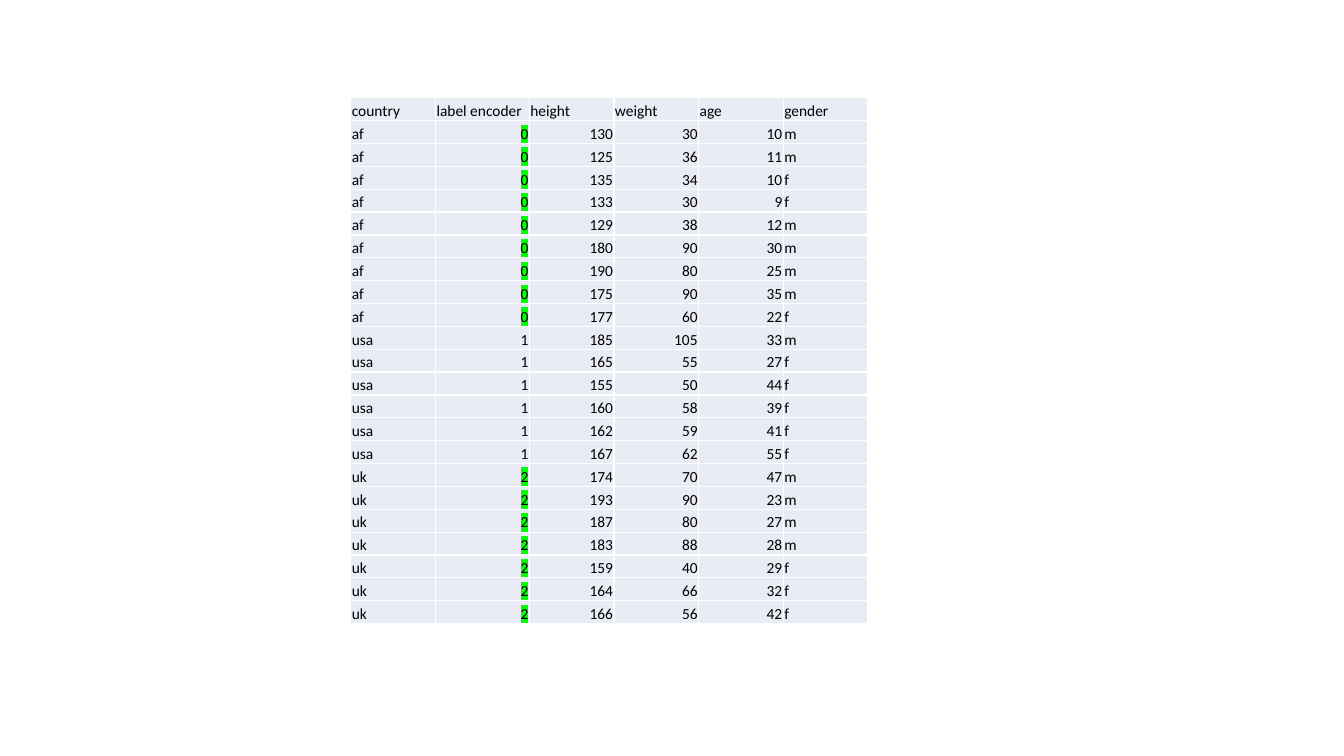
from dataclasses import dataclass

from lxml import etree
from pptx import Presentation
from pptx.dml.color import RGBColor
from pptx.enum.text import MSO_ANCHOR, PP_ALIGN
from pptx.oxml.ns import qn
from pptx.util import Inches, Pt

BOTTOM = MSO_ANCHOR.BOTTOM
LEFT, RIGHT = PP_ALIGN.LEFT, PP_ALIGN.RIGHT


@dataclass(frozen=True)
class Theme:
    font: str = "Calibri"
    size: int = 11
    ink: str = "000000"
    cell: str = "E9EBF5"
    border: str = "FFFFFF"
    marker: str = "00FF00"
    border_width: int = 1


theme = Theme()


def add_solid_color(parent, tag, color):
    element = etree.SubElement(parent, qn(tag))
    etree.SubElement(element, qn("a:srgbClr"), val=color)
    return element


def write_cell(cell, text, align=LEFT, highlight=None):
    cell.fill.solid()
    cell.fill.fore_color.rgb = RGBColor.from_string(theme.cell)
    cell.vertical_anchor = BOTTOM
    cell.margin_left = cell.margin_right = cell.margin_top = Inches(0.01)
    cell.margin_bottom = 0
    properties = cell.fill._xPr
    for position, edge in enumerate(("a:lnL", "a:lnR", "a:lnT", "a:lnB")):
        line = etree.Element(qn(edge), w=str(Pt(theme.border_width)))
        add_solid_color(line, "a:solidFill", theme.border)
        properties.insert(position, line)
    para = cell.text_frame.paragraphs[0]
    para.alignment = align
    span = para.add_run()
    span.text = text
    span.font.name = theme.font
    span.font.size = Pt(theme.size)
    span.font.color.rgb = RGBColor.from_string(theme.ink)
    if highlight:
        format_element = span.font._element
        marker = add_solid_color(format_element, "a:highlight", highlight)
        format_element.find(qn("a:solidFill")).addnext(marker)


headers = ["country", "label encoder", "height", "weight", "age", "gender"]
countries = [
    ("af", 0, theme.marker, [
        (130, 30, 10, "m"), (125, 36, 11, "m"), (135, 34, 10, "f"),
        (133, 30, 9, "f"), (129, 38, 12, "m"), (180, 90, 30, "m"),
        (190, 80, 25, "m"), (175, 90, 35, "m"), (177, 60, 22, "f"),
    ]),
    ("usa", 1, None, [
        (185, 105, 33, "m"), (165, 55, 27, "f"), (155, 50, 44, "f"),
        (160, 58, 39, "f"), (162, 59, 41, "f"), (167, 62, 55, "f"),
    ]),
    ("uk", 2, theme.marker, [
        (174, 70, 47, "m"), (193, 90, 23, "m"), (187, 80, 27, "m"),
        (183, 88, 28, "m"), (159, 40, 29, "f"), (164, 66, 32, "f"),
        (166, 56, 42, "f"),
    ]),
]
records = [
    ((country, label, *person), marker)
    for country, label, marker, people in countries
    for person in people
]

deck = Presentation()
deck.slide_width = Inches(13.33)
deck.slide_height = Inches(7.5)
page = deck.slides.add_slide(deck.slide_layouts[6])

row_count = len(records) + 1
label_width, column_width = Inches(0.93), Inches(0.84)
table_width = label_width + column_width * (len(headers) - 1)
table_height = Inches(5.22)
people_table = page.shapes.add_table(
    row_count, len(headers), Inches(3.48), Inches(0.97), table_width, table_height
).table
people_table.first_row = False
people_table.horz_banding = False

for column, header in zip(people_table.columns, headers):
    column.width = label_width if header == "label encoder" else column_width
for row in people_table.rows:
    row.height = table_height // row_count

for column_index, header in enumerate(headers):
    write_cell(people_table.cell(0, column_index), header)

for row_index, (values, marker) in enumerate(records, start=1):
    for column_index, (header, value) in enumerate(zip(headers, values)):
        write_cell(
            people_table.cell(row_index, column_index),
            str(value),
            align=RIGHT if isinstance(value, int) else LEFT,
            highlight=marker if header == "label encoder" else None,
        )

deck.save("out.pptx")
